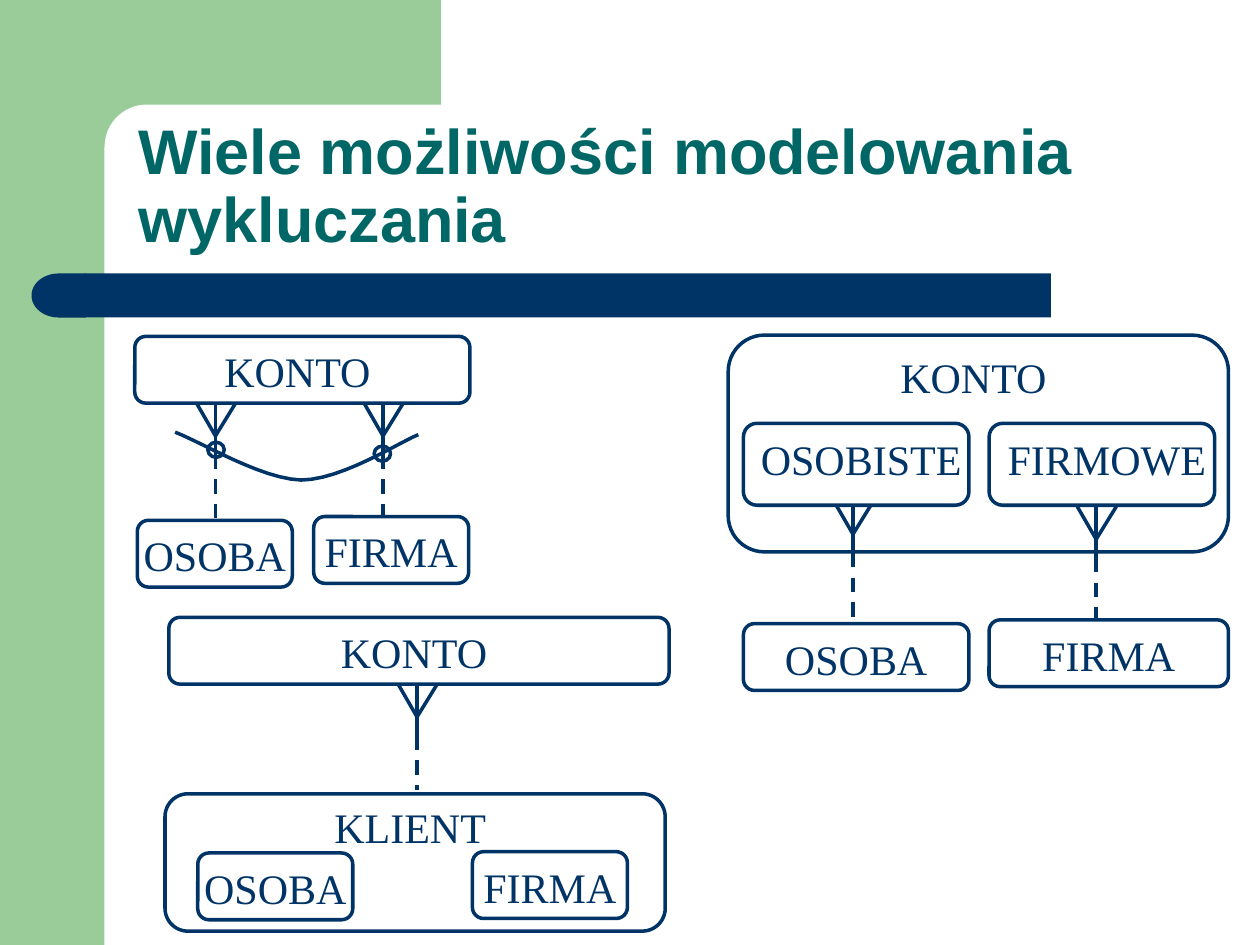
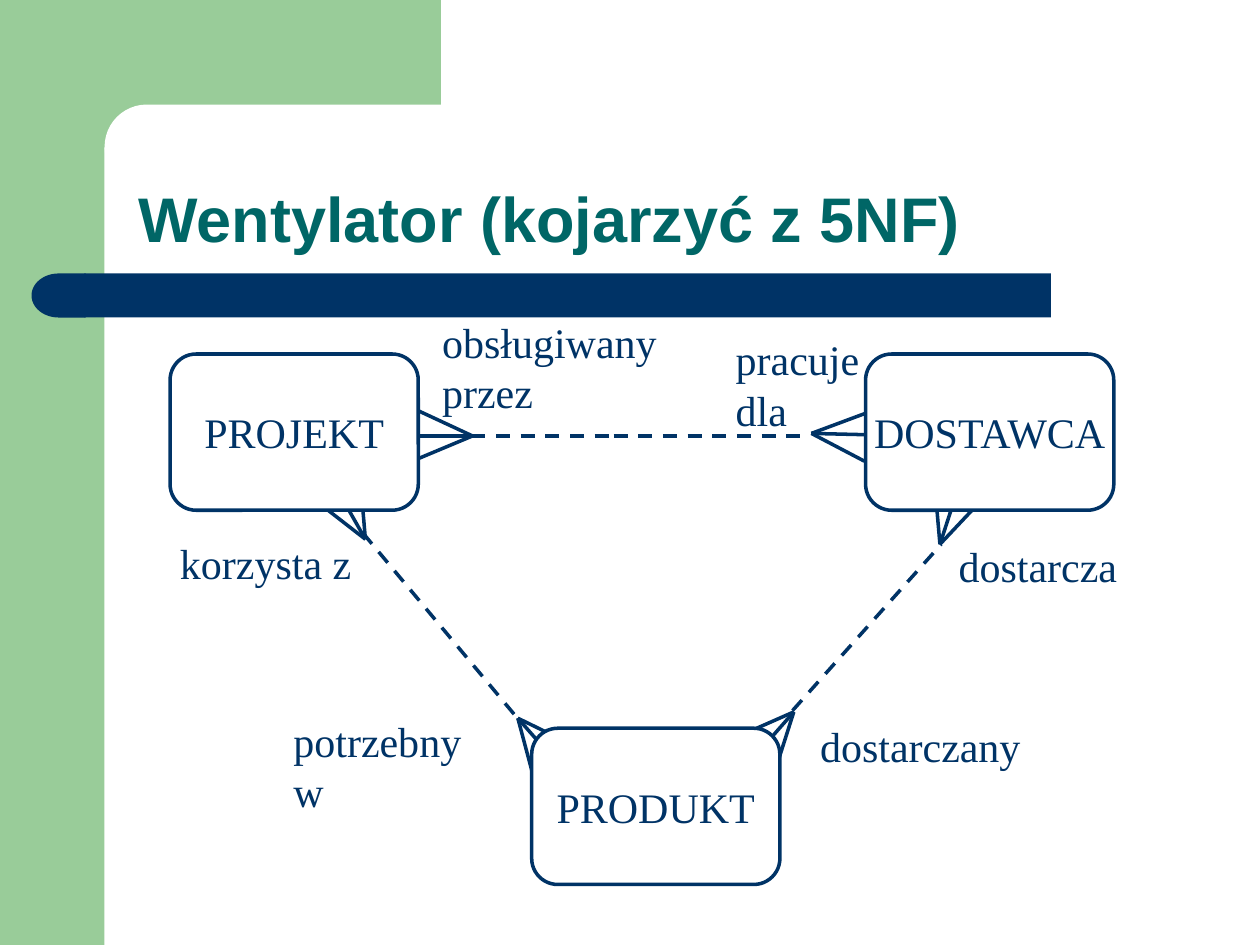
from dataclasses import dataclass

import pptx
import pptx.dml.color
import pptx.enum.dml
import pptx.enum.shapes
import pptx.enum.text
import pptx.oxml.ns
import pptx.util
from lxml import etree

Inches = pptx.util.Inches
SHAPE = pptx.enum.shapes.MSO_SHAPE
ALIGN = pptx.enum.text.PP_ALIGN
ANCHOR = pptx.enum.text.MSO_ANCHOR


@dataclass(frozen=True)
class Theme:
    green: str = "99CC99"
    navy: str = "003366"
    teal: str = "006666"
    white: str = "FFFFFF"
    title_font: str = "Arial"
    diagram_font: str = "Times New Roman"
    title_size: int = 36
    diagram_size: int = 24
    line_width: int = 2
    corner: float = 0.167


THEME = Theme()

# Boxes are (left, top, width, height)
BANDS = [
    (SHAPE.RECTANGLE, (0, 0, 0.83, 7.5), THEME.green),
    (SHAPE.RECTANGLE, (0.75, 0, 2.75, 1.17), THEME.green),
    (SHAPE.ROUNDED_RECTANGLE, (0.83, 0.83, 5.58, 0.67), THEME.white),
]
BAR = (0.67, 2.17, 7.67, 0.35)
BAR_CAP = (0.25, 2.17, 0.43, 0.35)
TITLE_BOX = (1, 0.83, 8.75, 1.25)

# Insets are (left, top, right, bottom)
WIDE = (0.02, 0.05, 0.1, 0.05)
FLAT = (0.02, 0.01, 0.1, 0.01)
TIGHT = (0.02, 0.05, 0.02, 0.05)
SHIFTED = (0.1, 0.05, 0.02, 0.05)
EVEN = (0.1, 0.05, 0.1, 0.05)

EXCLUSION_TITLE = "Wiele możliwości modelowania wykluczania"
OUTER_ENTITIES = [
    ("KONTO", (1.07, 2.67, 2.66, 0.53), WIDE),
    ("KONTO", (5.78, 2.66, 3.97, 1.72), WIDE),
    ("KLIENT", (1.31, 6.3, 3.97, 1.09), FLAT),
    ("KONTO", (1.34, 4.9, 3.97, 0.53), WIDE),
]
INNER_ENTITIES = [
    ("OSOBA", (1.09, 4.13, 1.23, 0.53), TIGHT),
    ("FIRMA", (2.49, 4.1, 1.23, 0.53), TIGHT),
    ("OSOBA", (5.9, 4.95, 1.79, 0.53), TIGHT),
    ("FIRMA", (7.85, 4.92, 1.9, 0.53), TIGHT),
    ("OSOBISTE", (5.9, 3.36, 1.79, 0.65), SHIFTED),
    ("FIRMOWE", (7.85, 3.36, 1.79, 0.65), SHIFTED),
    ("OSOBA", (1.57, 6.77, 1.23, 0.53), TIGHT),
    ("FIRMA", (3.75, 6.76, 1.23, 0.53), TIGHT),
]
# (x, top, bottom) of each many-to-one relation
RELATIONS = [
    (1.71, 3.2, 4.12),
    (3.04, 3.2, 4.1),
    (6.77, 3.98, 4.9),
    (8.7, 4.02, 4.92),
    (3.31, 5.43, 6.27),
]
# Two Bézier pieces of the exclusion arc, and the circles on it
ARC = [
    [(3.32, 3.45), (3.17, 3.51), (2.71, 3.81), (2.39, 3.81)],
    [(2.39, 3.81), (2.07, 3.8), (1.6, 3.51), (1.39, 3.43)],
]
ARC_STEPS = 12
ARC_CIRCLES = [(1.65, 3.51), (2.97, 3.54)]

FAN_TITLE = "Wentylator (kojarzyć z 5NF)"
FAN_SIZE = (1.97, 1.24)
FAN_ENTITIES = [
    ("PROJEKT", (1.35, 2.81)),
    ("PRODUKT", (4.22, 5.78)),
    ("DOSTAWCA", (6.87, 2.81)),
]
# (tip, toes)
FAN_FEET = [
    ((2.9, 4.28), [(2.69, 3.91), (2.86, 3.81), (2.54, 4)]),
    ((3.75, 3.46), [(3.32, 3.46), (3.32, 3.26), (3.32, 3.64)]),
    ((6.44, 3.44), [(6.87, 3.45), (6.86, 3.66), (6.87, 3.28)]),
    ((7.46, 4.32), [(7.59, 3.92), (7.78, 3.98), (7.42, 3.86)]),
    ((4.11, 5.7), [(4.39, 6.02), (4.23, 6.15), (4.52, 5.9)]),
    ((6.3, 5.65), [(6.02, 5.97), (5.87, 5.84), (6.16, 6.09)]),
]
FAN_LINKS = [
    ((3.35, 3.46), (4.87, 3.46)),
    ((4.87, 3.46), (6.43, 3.46)),
    ((2.88, 4.23), (4.14, 5.74)),
    ((6.29, 5.64), (7.47, 4.32)),
]
FAN_ROLES = [
    (["obsługiwany", "przez"], (3.41, 2.46, 1.98, 0.9)),
    (["dostarcza"], (7.51, 4.24, 1.46, 0.5)),
    (["pracuje", "dla"], (5.74, 2.6, 1.18, 0.9)),
    (["korzysta z"], (1.33, 4.22, 1.56, 0.5)),
    (["potrzebny w"], (2.23, 5.63, 1.85, 0.5)),
    (["dostarczany"], (6.41, 5.67, 1.79, 0.5)),
]


def rgb(color):
    return pptx.dml.color.RGBColor.from_string(color)


def inches(box):
    return [Inches(value) for value in box]


def set_line(line):
    line.color.rgb = rgb(THEME.navy)
    line.width = pptx.util.Pt(THEME.line_width)


def add_filled(shapes, preset, box, color):
    """Add a preset shape with a plain fill and no line."""
    shape = shapes.add_shape(preset, *inches(box))
    shape.shadow.inherit = False
    shape.fill.solid()
    shape.fill.fore_color.rgb = rgb(color)
    shape.line.fill.background()
    return shape


def write_lines(frame, lines, align, insets, anchor=ANCHOR.TOP):
    """Write diagram text, one paragraph a line, without wrapping."""
    frame.word_wrap = False
    frame.vertical_anchor = anchor
    (frame.margin_left, frame.margin_top,
     frame.margin_right, frame.margin_bottom) = inches(insets)
    for index, line in enumerate(lines):
        paragraph = frame.add_paragraph() if index else frame.paragraphs[0]
        paragraph.alignment = align
        run = paragraph.add_run()
        run.text = line
        run.font.name = THEME.diagram_font
        run.font.size = pptx.util.Pt(THEME.diagram_size)
        run.font.color.rgb = rgb(THEME.navy)


def add_entity(slide, name, box, insets, anchor=ANCHOR.TOP):
    entity = add_filled(slide.shapes, SHAPE.ROUNDED_RECTANGLE, box, THEME.white)
    entity.adjustments[0] = THEME.corner
    set_line(entity.line)
    write_lines(entity.text_frame, [name], ALIGN.CENTER, insets, anchor)


def add_link(slide, start, end, dashed=False):
    link = slide.shapes.add_connector(
        pptx.enum.shapes.MSO_CONNECTOR.STRAIGHT, *inches(start + end))
    set_line(link.line)
    if dashed:
        link.line.dash_style = pptx.enum.dml.MSO_LINE.DASH
    etree.SubElement(link.element.spPr, pptx.oxml.ns.qn("a:effectLst"))


def add_crow_foot(slide, tip, toes):
    for toe in toes:
        add_link(slide, toe, tip)


def add_relation(slide, x, top, bottom):
    """Draw a crow's foot, a solid stub and a dashed line going down."""
    tip = top + 0.26
    add_crow_foot(slide, (x, tip), [(x + step, top) for step in (-0.15, 0, 0.16)])
    add_link(slide, (x, tip), (x, tip + 0.24))
    add_link(slide, (x, tip + 0.15), (x, bottom), dashed=True)


def bezier(points, t):
    weights = ((1 - t) ** 3, 3 * t * (1 - t) ** 2, 3 * t ** 2 * (1 - t), t ** 3)
    return tuple(sum(w * p[axis] for w, p in zip(weights, points)) for axis in (0, 1))


def add_exclusion_arc(slide):
    vertices = [inches(bezier(piece, step / ARC_STEPS))
                for piece in ARC for step in range(1, ARC_STEPS + 1)]
    builder = slide.shapes.build_freeform(*inches(ARC[0][0]))
    builder.add_line_segments(vertices, close=False)
    arc = builder.convert_to_shape()
    circles = [slide.shapes.add_shape(SHAPE.OVAL, *inches((*corner, 0.13, 0.12)))
               for corner in ARC_CIRCLES]
    for shape in [arc, *circles]:
        shape.shadow.inherit = False
        shape.fill.background()
        set_line(shape.line)


def move_bands_to_layout(slide):
    """Build the background bands and place them behind the layout's parts."""
    tree = slide.slide_layout.shapes.element
    for index, (preset, box, color) in enumerate(BANDS):
        band = add_filled(slide.shapes, preset, box, color)
        if preset == SHAPE.ROUNDED_RECTANGLE:
            band.adjustments[0] = 0.5
        band.element.nvSpPr.cNvPr.set("id", str(20 + index))
        tree.insert(2 + index, band.element)


def add_titled_slide(deck, text):
    slide = deck.slides.add_slide(deck.slide_layouts[5])
    add_filled(slide.shapes, SHAPE.RECTANGLE, BAR, THEME.navy)
    cap = add_filled(slide.shapes, SHAPE.FLOWCHART_DELAY, BAR_CAP, THEME.navy)
    cap.rotation = 180

    title = slide.shapes.title
    title.left, title.top, title.width, title.height = inches(TITLE_BOX)
    frame = title.text_frame
    frame.word_wrap = True
    frame.auto_size = pptx.enum.text.MSO_AUTO_SIZE.NONE
    frame.vertical_anchor = ANCHOR.BOTTOM
    paragraph = frame.paragraphs[0]
    paragraph.alignment = ALIGN.LEFT
    paragraph.line_spacing = 0.9
    run = paragraph.add_run()
    run.text = text
    run.font.name = THEME.title_font
    run.font.size = pptx.util.Pt(THEME.title_size)
    run.font.bold = True
    run.font.color.rgb = rgb(THEME.teal)
    return slide


def build_exclusion(deck):
    slide = add_titled_slide(deck, EXCLUSION_TITLE)
    for entity in OUTER_ENTITIES:
        add_entity(slide, *entity)
    add_exclusion_arc(slide)
    for relation in RELATIONS:
        add_relation(slide, *relation)
    for entity in INNER_ENTITIES:
        add_entity(slide, *entity)
    return slide


def build_fan(deck):
    slide = add_titled_slide(deck, FAN_TITLE)
    for tip, toes in FAN_FEET:
        add_crow_foot(slide, tip, toes)
    for start, end in FAN_LINKS:
        add_link(slide, start, end, dashed=True)
    for lines, box in FAN_ROLES:
        role = slide.shapes.add_textbox(*inches(box))
        write_lines(role.text_frame, lines, ALIGN.LEFT, EVEN)
    for name, corner in FAN_ENTITIES:
        add_entity(slide, name, corner + FAN_SIZE, EVEN, ANCHOR.MIDDLE)


def main():
    deck = pptx.Presentation()
    deck.slide_width, deck.slide_height = inches((10, 7.5))
    move_bands_to_layout(build_exclusion(deck))
    build_fan(deck)
    deck.save("out.pptx")


if __name__ == "__main__":
    main()
